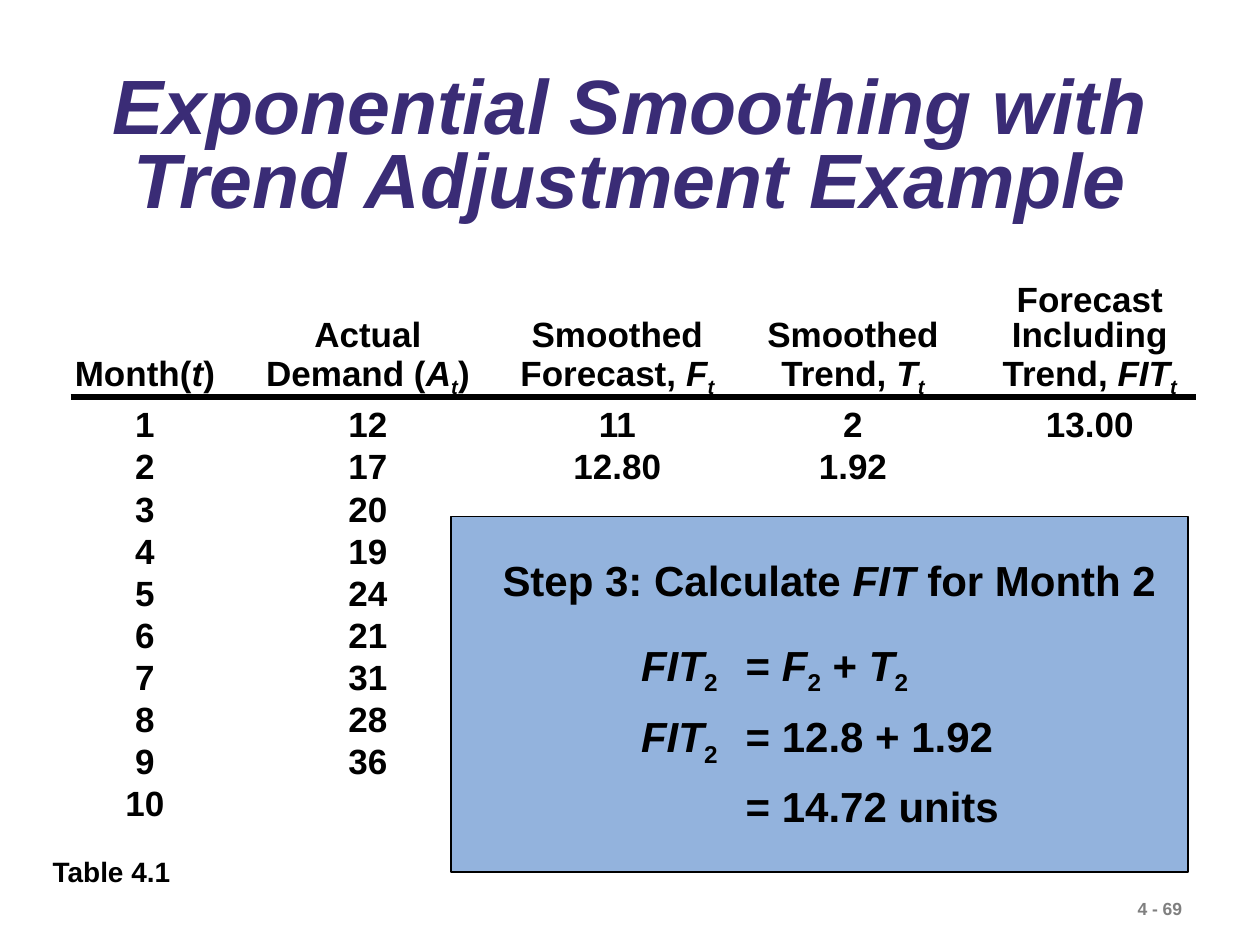
from lxml.etree import SubElement
from pptx import Presentation
from pptx.dml.color import RGBColor
from pptx.enum.shapes import MSO_CONNECTOR as Connector, MSO_SHAPE as Shape
from pptx.enum.text import MSO_ANCHOR as Anchor, PP_ALIGN as Align
from pptx.oxml.ns import qn
from pptx.util import Inches, Pt

COLORS = {"title": "3A2C76", "ink": "000000", "panel": "93B3DD", "number": "7F7F7F"}
WIDTH, HEIGHT = Inches(10), Inches(7.5)
COL, ROW = WIDTH / 100, HEIGHT / 75

COLUMN_SPANS = [11.8, 23.6, 16, 21.4, 16.2]
HEADINGS = [
    [[("Month(", ""), ("t", "i"), (")", "")]],
    [[("Actual", "")], [("Demand (", ""), ("A", "i"), ("t", "is"), (")", "")]],
    [[("Smoothed", "")], [("Forecast, ", ""), ("F", "i"), ("t", "is")]],
    [[("Smoothed", "")], [("Trend, ", ""), ("T", "i"), ("t", "is")]],
    [[("Forecast", "")], [("Including", "")],
     [("Trend, ", ""), ("FIT", "i"), ("t", "is")]],
]
DEMAND = [12, 17, 20, 19, 24, 21, 31, 28, 36, ""]
FORECASTS = {1: ["11", "2", "13.00"], 2: ["12.80", "1.92", ""]}
FIT_2 = [("FIT", "i"), ("2 \t", "s")]
EQUATIONS = [
    FIT_2 + [("= ", ""), ("F", "i"), ("2", "s"), (" + ", ""), ("T", "i"), ("2", "s")],
    FIT_2 + [("= 12.8 + 1.92", "")],
    [("\t= 14.72 units", "")],
]


def rgb(name):
    return RGBColor.from_string(COLORS[name])


def place(left, top, width, height):
    return [round(n) for n in (left * COL, top * ROW, width * COL, height * ROW)]


def write(frame, lines, size, color="ink", align=Align.LEFT, spacing=None, tab=None):
    for index, line in enumerate(lines):
        paragraph = frame.add_paragraph() if index else frame.paragraphs[0]
        paragraph.alignment = align
        if spacing:
            paragraph.line_spacing = spacing
        if tab:
            stops = SubElement(paragraph._p.get_or_add_pPr(), qn("a:tabLst"))
            SubElement(stops, qn("a:tab"), pos=str(round(tab * COL)), algn="l")
        font = paragraph.font
        font.name, font.size, font.bold = "Arial", Pt(size), True
        font.color.rgb = rgb(color)
        for text, style in line:
            run = paragraph.add_run()
            run.text = text
            if "i" in style:
                run.font.italic = True
            if "s" in style:
                run._r.get_or_add_rPr().set("baseline", "-25000")


def add_text(slide, box, lines, size, wrap=False, **look):
    frame = slide.shapes.add_textbox(*place(*box)).text_frame
    frame.word_wrap = wrap
    write(frame, lines, size, **look)
    return frame


def add_title(slide, box):
    title = [("Exponential Smoothing with Trend Adjustment Example", "i")]
    frame = add_text(slide, box, [title], 44, wrap=True, color="title",
                     align=Align.CENTER, spacing=0.8)
    frame.vertical_anchor = Anchor.MIDDLE


def fill_cell(cell, lines, anchor, bottom=0, spacing=None):
    cell.fill.background()
    cell.margin_left = cell.margin_right = cell.margin_top = 0
    cell.margin_bottom = round(bottom * ROW)
    cell.vertical_anchor = anchor
    write(cell.text_frame, lines, 20, align=Align.CENTER, spacing=spacing)


def add_forecast_table(slide, box):
    left, top, width, height = box
    header = 10.2
    months = len(DEMAND)
    table = slide.shapes.add_table(months + 1, len(HEADINGS), *place(*box)).table
    table.horz_banding = False
    for column, span in zip(table.columns, COLUMN_SPANS):
        column.width = round(span * COL)
    for index, row in enumerate(table.rows):
        row.height = round(((height - header) / months if index else header) * ROW)
    for index, heading in enumerate(HEADINGS):
        fill_cell(table.cell(0, index), heading, Anchor.BOTTOM,
                  bottom=0.8 if index else 0.9, spacing=0.9)
    for month, demand in enumerate(DEMAND, 1):
        values = [month, demand] + FORECASTS.get(month, [""] * 3)
        for index, value in enumerate(values):
            line = [(str(value), "")] if value != "" else []
            fill_cell(table.cell(month, index), [line], Anchor.MIDDLE)

    x, y, length, _ = place(left, top + 9.6, width + 0.3, 0)
    rule = slide.shapes.add_connector(Connector.STRAIGHT, x, y, x + length, y)
    rule.line.color.rgb = rgb("ink")
    rule.line.width = Pt(3)
    SubElement(rule._element.spPr, qn("a:effectLst"))


def add_step_panel(slide, box):
    left, top, width, height = box
    panel = slide.shapes.add_shape(Shape.RECTANGLE, *place(*box))
    panel.shadow.inherit = False
    panel.fill.solid()
    panel.fill.fore_color.rgb = rgb("panel")
    panel.line.color.rgb = rgb("ink")
    panel.line.width = Pt(0.75)
    add_text(slide, (left + 14.1, top + 8.1, 30.4, 17.4), EQUATIONS, 24,
             spacing=1.25, tab=8.3)
    step = [("Step 3: Calculate ", ""), ("FIT", "i"), (" for Month 2", "")]
    add_text(slide, (left + 3.1, top + 2.5, 55, 5), [step], 24)


def main():
    deck = Presentation()
    deck.slide_width, deck.slide_height = WIDTH, HEIGHT
    slide = deck.slides.add_slide(deck.slide_layouts[6])
    add_text(slide, (89.3, 70.8, 10.7, 2.7), [[("4 - 69", "")]], 10, color="number")
    add_title(slide, (5.1, 4.7, 89.9, 14.3))
    add_forecast_table(slide, (5.6, 21.9, sum(COLUMN_SPANS), 43.5))
    add_text(slide, (3.2, 67.3, 11.5, 3.7), [[("Table 4.1", "")]], 16)
    add_step_panel(slide, (35.8, 41, 58.5, 28.2))
    deck.save("out.pptx")


if __name__ == "__main__":
    main()
